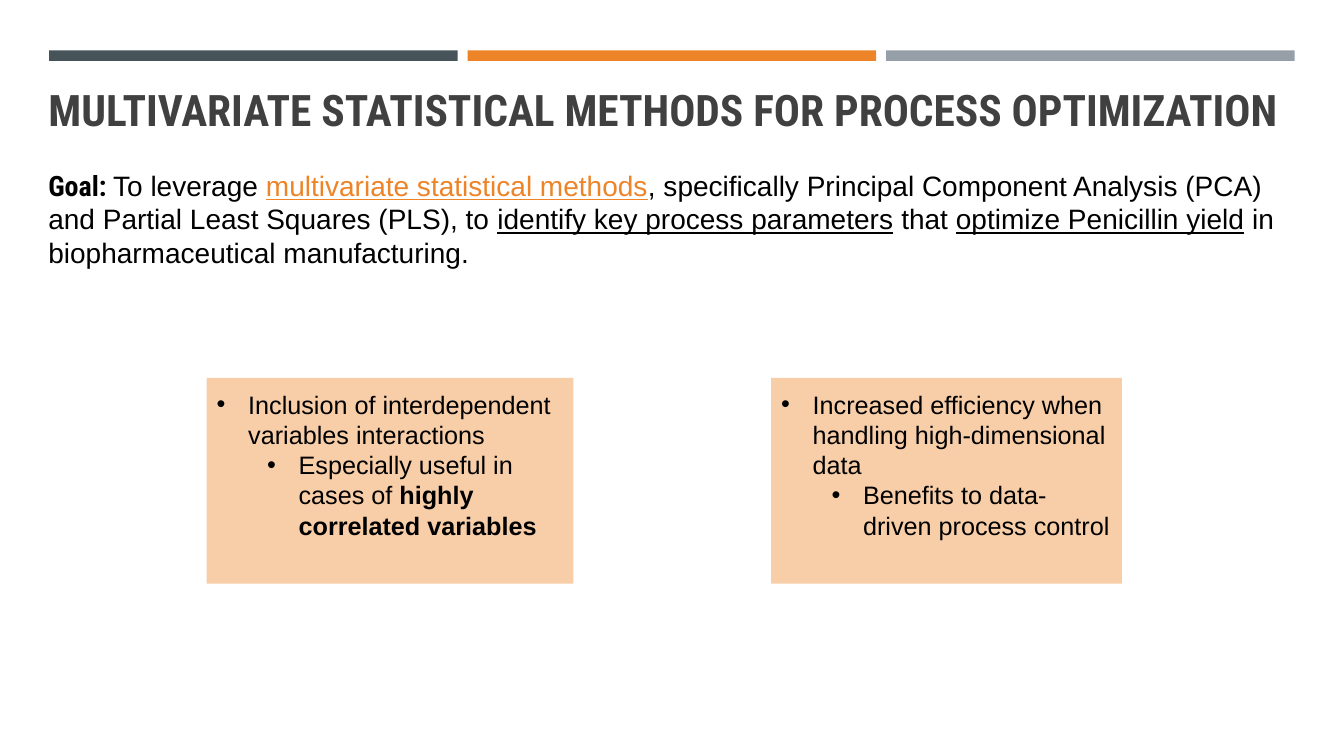
from dataclasses import dataclass

from lxml import etree
from pptx import Presentation, util as u
from pptx.dml.color import RGBColor
from pptx.enum import shapes, text
from pptx.oxml import ns

Pt = u.Pt

SLATE = RGBColor(0x46, 0x53, 0x59)
ORANGE = RGBColor(0xED, 0x84, 0x28)
GREY = RGBColor(0x96, 0x9F, 0xA7)
PEACH = RGBColor(0xF8, 0xCE, 0xA9)
CHARCOAL = RGBColor(0x40, 0x40, 0x40)
BLACK = RGBColor(0, 0, 0)

HEADING_FONT = "Roboto Condensed"
BODY_FONT = "Arial"


@dataclass(frozen=True)
class Box:
    left: float
    top: float
    width: float
    height: float

    def lengths(self) -> tuple:
        return Pt(self.left), Pt(self.top), Pt(self.width), Pt(self.height)


@dataclass(frozen=True)
class Run:
    text: str
    font: str = BODY_FONT
    color: RGBColor = BLACK
    bold: bool = False
    underline: bool = False


@dataclass(frozen=True)
class Benefit:
    left: float
    width: float
    levels: tuple  # one tuple of runs per bullet level


BAR_LEFT, BAR_TOP, BAR_WIDTH, BAR_HEIGHT, BAR_STEP = 35.2, 36, 291.8, 7.5, 298.9
BAR_COLORS = (SLATE, ORANGE, GREY)
TITLE_BOX = Box(27.4, 56.9, 905.8, 43.9)
GOAL_BOX = Box(27.4, 116.6, 905.8, 79.9)
CARD_TOP, CARD_HEIGHT, CARD_PADDING = 270, 146.9, 4.3
BULLET_HANG, LEVEL_INDENT = 22.5, 36

GOAL = (
    Run("Goal: ", font=HEADING_FONT, bold=True),
    Run("To leverage "),
    Run("multivariate statistical methods", color=ORANGE, underline=True),
    Run(", specifically Principal Component Analysis (PCA) and "
        "Partial Least Squares (PLS), to "),
    Run("identify key process parameters", underline=True),
    Run(" that "),
    Run("optimize Penicillin yield", underline=True),
    Run(" in biopharmaceutical manufacturing."),
)

BENEFITS = (
    Benefit(147.6, 262.1, (
        (Run("Inclusion of interdependent variables interactions"),),
        (Run("Especially useful in cases of "),
         Run("highly correlated variables", bold=True)),
    )),
    Benefit(550.8, 250.6, (
        (Run("Increased efficiency when handling high-dimensional data"),),
        (Run("Benefits to data-driven process control"),),
    )),
)


def add_run(p, content: str, *, size: float, font: str = BODY_FONT,
            color: RGBColor = BLACK, bold: bool = False,
            underline: bool = False) -> None:
    r = p.add_run()
    r.text = content
    r.font.size = Pt(size)
    r.font.name = font
    r.font.color.rgb = color
    r.font.bold = bold
    r.font.underline = underline


def add_runs(p, runs: tuple, size: float) -> None:
    for run in runs:
        add_run(p, run.text, size=size, font=run.font, color=run.color,
                bold=run.bold, underline=run.underline)


def add_rectangle(s, box: Box, color: RGBColor) -> None:
    sp = s.shapes.add_shape(shapes.MSO_SHAPE.RECTANGLE, *box.lengths())
    sp.shadow.inherit = False
    sp.fill.solid()
    sp.fill.fore_color.rgb = color
    sp.line.fill.background()


def place(sp, box: Box, anchor: text.MSO_ANCHOR):
    """Move a text shape to the front of the slide and return its text frame."""
    sp.left, sp.top, sp.width, sp.height = box.lengths()
    tree = sp._element.getparent()
    tree.append(sp._element)
    tf = sp.text_frame
    tf.word_wrap = True
    tf.auto_size = text.MSO_AUTO_SIZE.NONE
    tf.vertical_anchor = anchor
    return tf


def format_bullet(p, level: int) -> None:
    p.level = level
    p.space_before = Pt(0)
    pPr = p._p.get_or_add_pPr()
    pPr.set("marL", str(Pt(BULLET_HANG + LEVEL_INDENT * level)))
    pPr.set("indent", str(-Pt(BULLET_HANG)))
    etree.SubElement(pPr, ns.qn("a:buFont")).set("typeface", BODY_FONT)
    etree.SubElement(pPr, ns.qn("a:buChar")).set("char", "•")


def add_benefit(s, placeholder, benefit: Benefit) -> None:
    card = Box(benefit.left, CARD_TOP, benefit.width, CARD_HEIGHT)
    add_rectangle(s, card, PEACH)
    inner = Box(card.left, card.top + CARD_PADDING,
                card.width, card.height - 2 * CARD_PADDING)
    tf = place(placeholder, inner, text.MSO_ANCHOR.TOP)
    for level, runs in enumerate(benefit.levels):
        p = tf.add_paragraph() if level else tf.paragraphs[0]
        format_bullet(p, level)
        add_runs(p, runs, size=18)


def main() -> None:
    prs = Presentation()
    prs.slide_width, prs.slide_height = Pt(960), Pt(540)
    s = prs.slides.add_slide(prs.slide_layouts.get_by_name("Two Content"))
    title, *bodies = s.placeholders

    for i, color in enumerate(BAR_COLORS):
        bar = Box(BAR_LEFT + i * BAR_STEP, BAR_TOP, BAR_WIDTH, BAR_HEIGHT)
        add_rectangle(s, bar, color)

    p = place(title, TITLE_BOX, text.MSO_ANCHOR.BOTTOM).paragraphs[0]
    p.alignment = text.PP_ALIGN.LEFT
    p.line_spacing = 0.9
    add_run(p, "MULTIVARIATE STATISTICAL METHODS FOR PROCESS OPTIMIZATION",
            size=31, font=HEADING_FONT, color=CHARCOAL, bold=True)

    goal = s.shapes.add_textbox(*GOAL_BOX.lengths())
    tf = place(goal, GOAL_BOX, text.MSO_ANCHOR.TOP)
    add_runs(tf.paragraphs[0], GOAL, size=20)

    for body, benefit in zip(bodies, BENEFITS):
        add_benefit(s, body, benefit)

    prs.save("out.pptx")


if __name__ == "__main__":
    main()
